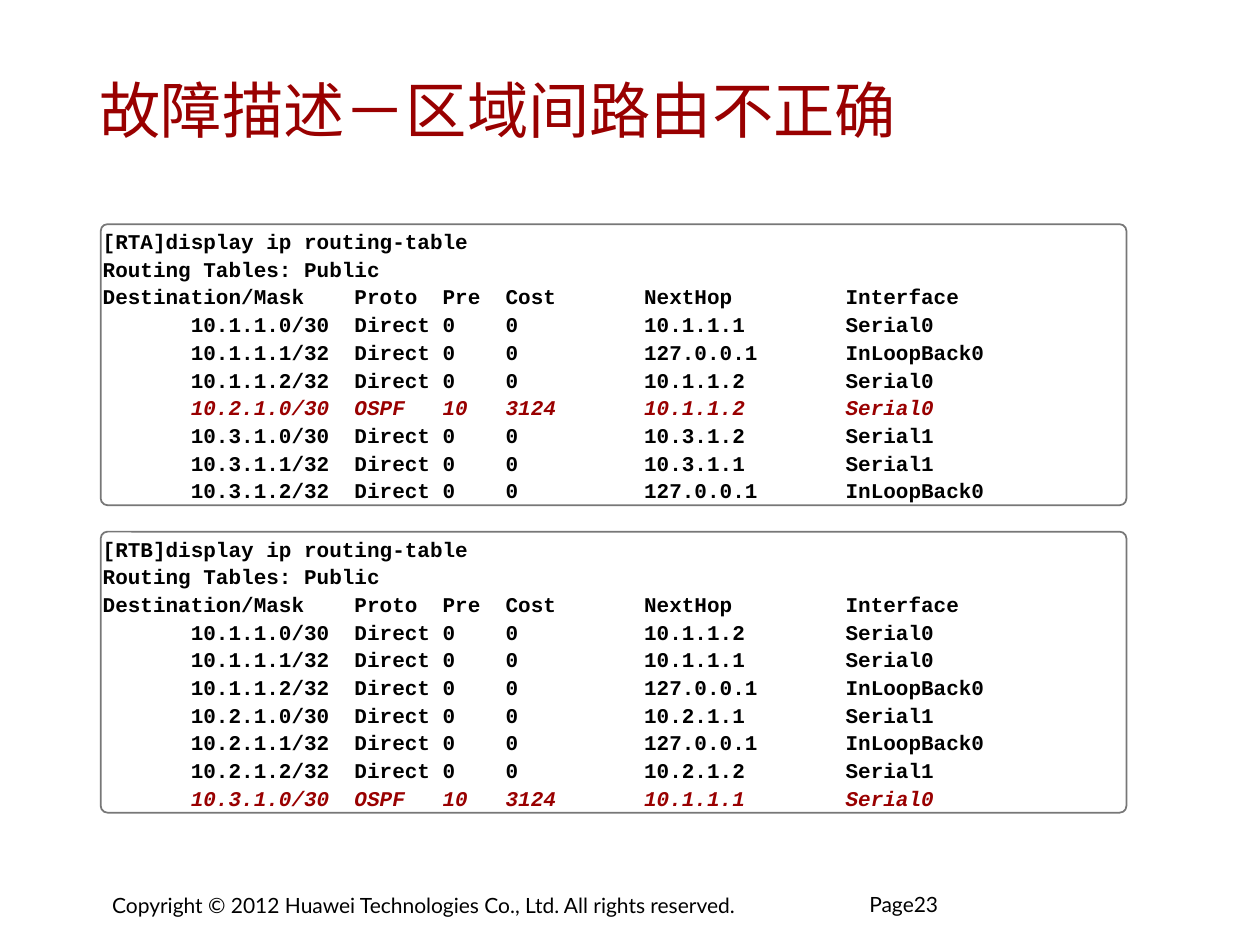
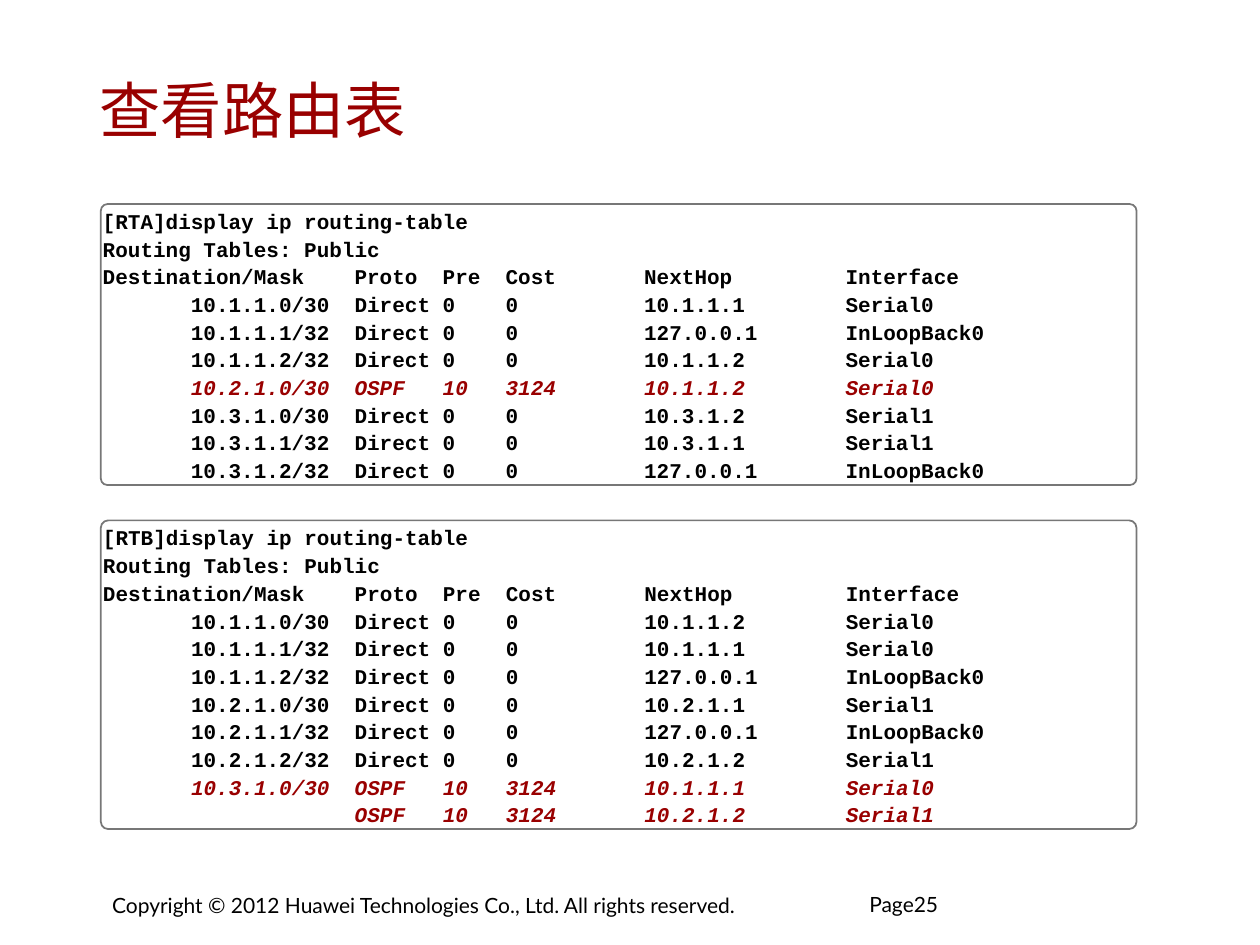
"""Build two slides that compare the routing tables of RTA and RTB."""
from pptx import Presentation
from pptx.dml.color import RGBColor
from pptx.enum.shapes import MSO_SHAPE
from pptx.enum.text import MSO_ANCHOR, MSO_AUTO_SIZE, PP_ALIGN
from pptx.util import Inches, Pt

ROUND = MSO_SHAPE.ROUNDED_RECTANGLE
TOP, MIDDLE = MSO_ANCHOR.TOP, MSO_ANCHOR.MIDDLE
GROW, LEFT = MSO_AUTO_SIZE.SHAPE_TO_FIT_TEXT, PP_ALIGN.LEFT
RED = RGBColor(0x99, 0, 0)
BLACK = RGBColor(0, 0, 0)
GREY = RGBColor(0x77, 0x77, 0x77)
WHITE = RGBColor(0xFF, 0xFF, 0xFF)

HEAD = ("Proto", "Pre", "Cost", "NextHop", "Interface")
DIRECT = ("Direct", "0", "0")
OSPF = ("OSPF", "10", "3124")
RTA = ("RTA", [
    ("10.1.1.0/30", DIRECT, "10.1.1.1", "Serial0"),
    ("10.1.1.1/32", DIRECT, "127.0.0.1", "InLoopBack0"),
    ("10.1.1.2/32", DIRECT, "10.1.1.2", "Serial0"),
    ("10.2.1.0/30", OSPF, "10.1.1.2", "Serial0"),
    ("10.3.1.0/30", DIRECT, "10.3.1.2", "Serial1"),
    ("10.3.1.1/32", DIRECT, "10.3.1.1", "Serial1"),
    ("10.3.1.2/32", DIRECT, "127.0.0.1", "InLoopBack0"),
])
RTB = ("RTB", [
    ("10.1.1.0/30", DIRECT, "10.1.1.2", "Serial0"),
    ("10.1.1.1/32", DIRECT, "10.1.1.1", "Serial0"),
    ("10.1.1.2/32", DIRECT, "127.0.0.1", "InLoopBack0"),
    ("10.2.1.0/30", DIRECT, "10.2.1.1", "Serial1"),
    ("10.2.1.1/32", DIRECT, "127.0.0.1", "InLoopBack0"),
    ("10.2.1.2/32", DIRECT, "10.2.1.2", "Serial1"),
    ("10.3.1.0/30", OSPF, "10.1.1.1", "Serial0"),
])
RTB_DUAL = ("RTB", RTB[1] + [("", OSPF, "10.2.1.2", "Serial1")])
SLIDES = [
    dict(title="故障描述－区域间路由不正确", page="Page23",
         top=1.78, wide=8.14, gap=0.21, tables=(RTA, RTB)),
    dict(title="查看路由表", page="Page25",
         top=1.62, wide=8.22, gap=0.28, tables=(RTA, RTB_DUAL)),
]
RIGHTS = "Copyright © 2012 Huawei Technologies Co., Ltd. All rights reserved."

EDGE, ROW, SLACK = 0.8, 0.22, 0.03
PAD = (0.09, 0.04, 0.09, 0.04)
NO_PAD = (0, 0, 0, 0)
TITLE = dict(name="Lato", size=Pt(35))
FOOT = dict(name="Lato", size=Pt(12))
CODE = dict(name="Courier New", size=Pt(12), bold=True)


def apply(item, form):
    for key, value in form.items():
        setattr(item, key, value)


def frame(shape, pad, **form):
    text = shape.text_frame
    sides = ("margin_left", "margin_top", "margin_right", "margin_bottom")
    apply(text, dict(zip(sides, map(Inches, pad))))
    apply(text, dict(word_wrap=True, **form))
    return text


def write(para, text, form, color=BLACK, space=1.0):
    apply(para, dict(alignment=LEFT, line_spacing=space))
    run = para.add_run()
    run.text = text
    apply(run.font, form)
    run.font.color.rgb = color


def label(slide, spot, text, form, pad=PAD, anchor=TOP, **style):
    box = slide.shapes.add_textbox(*map(Inches, spot))
    body = frame(box, pad, vertical_anchor=anchor)
    write(body.paragraphs[0], text, form, **style)


def columns(proto, pre, cost, hop, port):
    return f"{proto:<7}{pre:<5}{cost:<11}{hop:<16}{port}"


def listing(name, routes):
    """Return each line with a flag that marks an OSPF route."""
    lines = [(f"[{name}]display ip routing-table", False),
             ("Routing Tables: Public", False),
             (f"{'Destination/Mask':<20}" + columns(*HEAD), False)]
    for mask, kind, hop, port in routes:
        lines.append((f"{mask:>18}  " + columns(*kind, hop, port), kind is OSPF))
    return lines


def panel(slide, top, wide, lines):
    high = len(lines) * ROW + SLACK
    box = slide.shapes.add_shape(ROUND, *map(Inches, (EDGE, top, wide, high)))
    box.adjustments[0] = 0.024
    box.shadow.inherit = False
    box.fill.background()
    apply(box.line, dict(width=Pt(1)))
    box.line.color.rgb = GREY
    body = frame(box, NO_PAD, vertical_anchor=TOP, auto_size=GROW)
    for i, (text, mark) in enumerate(lines):
        para = body.add_paragraph() if i else body.paragraphs[0]
        write(para, text, dict(CODE, italic=mark), RED if mark else BLACK, 1.1)
    return top + high


def build(deck, title, page, top, wide, gap, tables):
    slide = deck.slides.add_slide(deck.slide_layouts[6])
    slide.background.fill.solid()
    slide.background.fill.fore_color.rgb = WHITE
    label(slide, (EDGE, 7.04, 5.5, 0.29), RIGHTS, FOOT)
    label(slide, (6.9, 7.11, 1.66, 0.36), page, FOOT, NO_PAD, space=0.85)
    label(slide, (0.7, 0.39, 8.45, 0.95), title, TITLE, anchor=MIDDLE, color=RED)
    for table in tables:
        top = panel(slide, top, wide, listing(*table)) + gap


def main():
    deck = Presentation()
    apply(deck, dict(slide_width=Inches(10), slide_height=Inches(7.5)))
    for spec_row in SLIDES:
        build(deck, **spec_row)
    deck.save("out.pptx")


if __name__ == "__main__":
    main()
